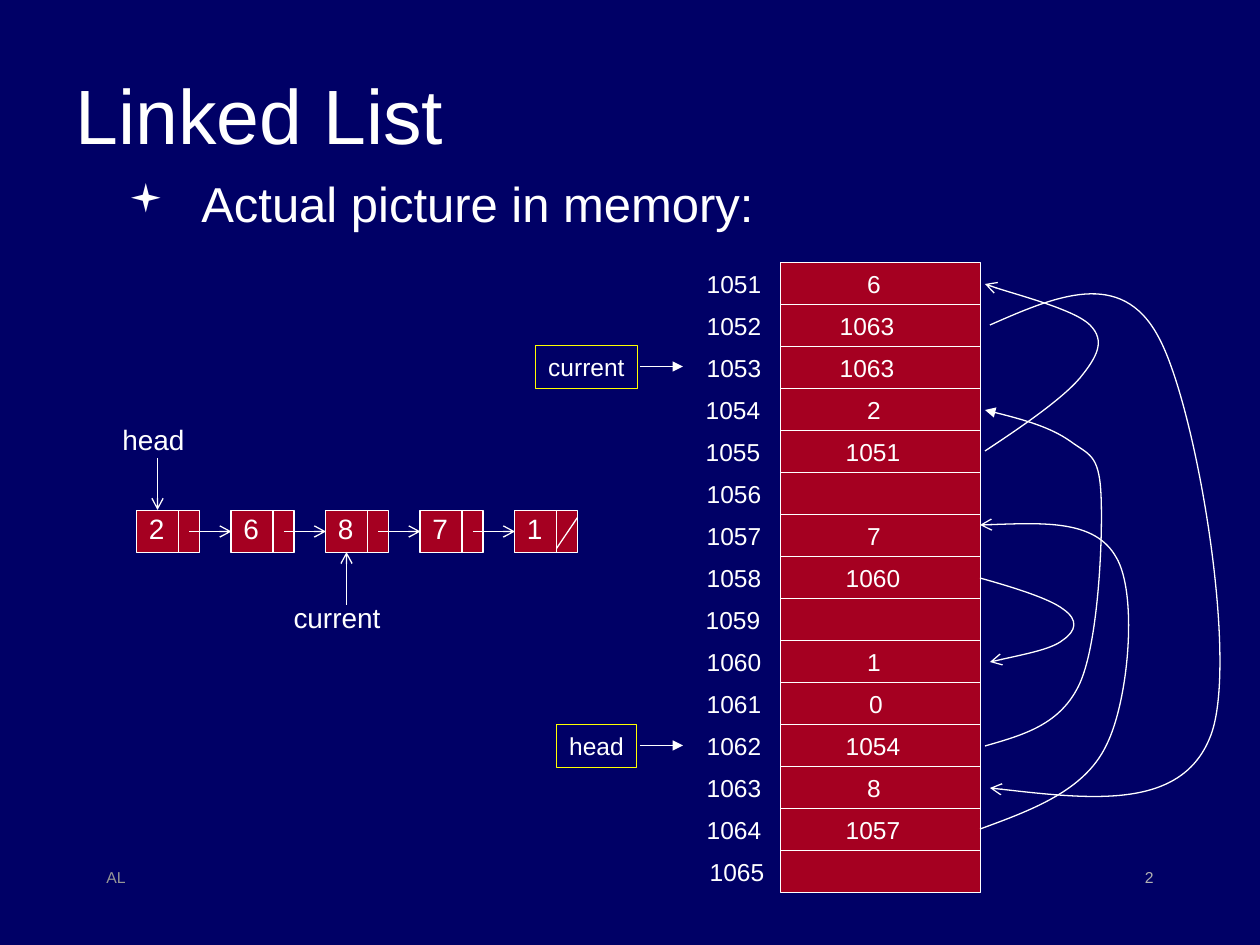
from lxml.etree import SubElement
from pptx import Presentation
from pptx.dml.color import RGBColor
from pptx.enum.shapes import MSO_CONNECTOR, MSO_SHAPE
from pptx.enum.text import MSO_ANCHOR as ANCHOR, MSO_AUTO_SIZE as AUTO_SIZE, PP_ALIGN as ALIGN
from pptx.oxml.ns import qn
from pptx.util import Pt

NAVY = RGBColor(0x00, 0x00, 0x66)
RED = RGBColor(0xA5, 0x00, 0x21)
WHITE = RGBColor(0xFF, 0xFF, 0xFF)
YELLOW = RGBColor(0xFF, 0xFF, 0x00)
PALE_GREY = RGBColor(0xB2, 0xB2, 0xB2)
GREY = RGBColor(0x96, 0x96, 0x96)
FONT = "Arial"
SCALE = 914400 / 126  # EMU in one px

# Memory cells: address and its centre, value and its centre
MEMORY = [
    ("1051", 734, "6", 874), ("1052", 734, "1063", 867), ("1053", 734, "1063", 867),
    ("1054", 733, "2", 874), ("1055", 733, "1051", 873), ("1056", 734, "", 0),
    ("1057", 734, "7", 874), ("1058", 734, "1060", 873), ("1059", 733, "", 0),
    ("1060", 734, "1", 874), ("1061", 734, "0", 876), ("1062", 734, "1054", 873),
    ("1063", 734, "8", 874), ("1064", 734, "1057", 873), ("1065", 737, "", 0),
]
MEMORY_LEFT, MEMORY_TOP, MEMORY_WIDTH, ROW = 780.5, 262.5, 200, 42

# Boxed variables: name, left, top, width
VARIABLES = [("current", 535.5, 345.5, 102), ("head", 556.5, 724.5, 80)]

# Curved links: arrowhead, start, then three Bezier points per segment
LINKS = [
    ("arrow", [(985, 451), (1023, 426), (1062, 399), (1080, 378), (1097, 357),
               (1106, 341), (1090, 325), (1075, 310), (1003, 291), (985, 284)]),
    ("arrow", [(990, 325), (1056, 296), (1121, 268), (1158, 336), (1196, 404),
               (1239, 660), (1211, 735), (1183, 810), (1086, 799), (990, 788)]),
    ("arrow", [(980, 829), (1032, 810), (1084, 791), (1106, 746), (1129, 701),
               (1138, 593), (1116, 557), (1095, 520), (1038, 523), (980, 525)]),
    ("arrow", [(980, 578), (1016, 588), (1050, 599), (1063, 609), (1079, 620),
               (1076, 631), (1063, 640), (1052, 649), (1021, 655), (990, 662)]),
    ("triangle", [(985, 746), (1023, 735), (1061, 725), (1080, 683), (1099, 640),
                  (1103, 534), (1101, 494), (1099, 454), (1089, 455), (1070, 441),
                  (1050, 427), (1018, 418), (985, 410)]),
]

# Linked nodes
NODES = ["2", "6", "8", "7", "1"]
NODE_LEFT, NODE_TOP, NODE_WIDTH, NODE_HEIGHT, NODE_STEP = 136.5, 510.5, 63, 42, 94.5

# Node pointers: name, left, top, width, arrow x, arrow start, arrow end
POINTERS = [("head", 110, 416, 87, 157.5, 458, 510),
            ("current", 281, 594, 112, 346.5, 605, 552)]


def emu(*lengths):
    return [round(length * SCALE) for length in lengths]


def style_line(shape, color=WHITE, head=None):
    shape.line.color.rgb = color
    shape.line.width = Pt(0.75)
    if head:
        SubElement(shape.line._get_or_add_ln(), qn("a:tailEnd"), type=head)


def add_line(x1, y1, x2, y2, head=None):
    line = page.shapes.add_connector(MSO_CONNECTOR.STRAIGHT, *emu(x1, y1, x2, y2))
    style_line(line, head=head)
    SubElement(line._element.spPr, qn("a:effectLst"))


def add_rect(left, top, width, height):
    rect = page.shapes.add_shape(MSO_SHAPE.RECTANGLE, *emu(left, top, width, height))
    rect.shadow.inherit = False
    rect.fill.solid()
    rect.fill.fore_color.rgb = RED
    style_line(rect)


def add_text(text, left, top, width, height, size=14, color=WHITE, align=ALIGN.LEFT,
             anchor=ANCHOR.TOP, wrap=True, border=None, bullet=None, indent=0, spacing=None):
    box = page.shapes.add_textbox(*emu(left, top, width, height))
    if border:
        style_line(box, border)
    frame = box.text_frame
    frame.word_wrap = wrap
    frame.auto_size = AUTO_SIZE.NONE if wrap else AUTO_SIZE.SHAPE_TO_FIT_TEXT
    frame.vertical_anchor = anchor
    para = frame.paragraphs[0]
    para.alignment = align
    if spacing:
        para.line_spacing = spacing
    if bullet:
        props = para._p.get_or_add_pPr()
        hanging = emu(indent)[0]
        props.set("marL", str(hanging))
        props.set("indent", str(-hanging))
        SubElement(props, qn("a:buSzPct"), val="80000")
        SubElement(props, qn("a:buFont"), typeface="Wingdings")
        SubElement(props, qn("a:buChar"), char=bullet)
    span = para.add_run()
    span.text = text
    span.font.name = FONT
    span.font.size = Pt(size)
    span.font.color.rgb = color


def add_curve(points, head):
    start, *rest = points
    builder = page.shapes.build_freeform(*start, scale=SCALE)
    builder.add_line_segments(rest, close=False)
    curve = builder.convert_to_shape()
    curve.shadow.inherit = False
    curve.fill.background()
    style_line(curve, head=head)
    # Gather every three straight steps into one Bezier segment
    outline = curve._element.find(".//" + qn("a:path"))
    steps = outline.findall(qn("a:lnTo"))
    for first in range(0, len(steps), 3):
        bezier = SubElement(outline, qn("a:cubicBezTo"))
        for step in steps[first:first + 3]:
            bezier.append(step[0])
            outline.remove(step)


deck = Presentation()
deck.slide_width, deck.slide_height = emu(1260, 945)
page = deck.slides.add_slide(deck.slide_layouts[6])
page.background.fill.solid()
page.background.fill.fore_color.rgb = NAVY

# Title and bullet
add_text("Linked List", 63, 51, 1134, 126, size=44, anchor=ANCHOR.MIDDLE)
add_text("Actual picture in memory:", 116, 179, 1134, 95, size=28,
         bullet="▪", indent=73, spacing=0.8)

# Memory column
add_rect(MEMORY_LEFT, MEMORY_TOP, MEMORY_WIDTH, ROW * len(MEMORY))
for index, (address, address_mid, value, value_mid) in enumerate(MEMORY):
    top = MEMORY_TOP + index * ROW
    if index:
        add_line(MEMORY_LEFT, top, MEMORY_LEFT + MEMORY_WIDTH, top)
    for text, middle in ((address, address_mid), (value, value_mid)):
        if text:
            width = 80 if len(text) > 1 else 39
            add_text(text, middle - width / 2, top, width, 43, align=ALIGN.CENTER, wrap=False)

# Variables pointing at memory
for name, left, top, width in VARIABLES:
    add_text(name, left, top, width, 43, align=ALIGN.CENTER, wrap=False, border=YELLOW)
    add_line(640, top + 21, 683, top + 21, head="triangle")

# Links between cells
for head, points in LINKS:
    add_curve(points, head)

# Chain of nodes
for index, value in enumerate(NODES):
    left = NODE_LEFT + index * NODE_STEP
    add_rect(left, NODE_TOP, NODE_WIDTH, NODE_HEIGHT)
    add_line(left + 42, NODE_TOP, left + 42, NODE_TOP + NODE_HEIGHT)
    add_text(value, left, NODE_TOP - 5, 34, 47, size=16)
    if index < len(NODES) - 1:
        add_line(left + 53, NODE_TOP + 21, left + 95, NODE_TOP + 21, head="arrow")
    else:
        add_line(left + NODE_WIDTH, NODE_TOP + 7, left + 42, NODE_TOP + 38)

# Pointers into the chain
for name, left, top, width, x, start, end in POINTERS:
    add_text(name, left, top, width, 47, size=16, align=ALIGN.CENTER, wrap=False)
    add_line(x, start, x, end, head="arrow")

# Footer
add_text("2", 904, 862, 262, 63, size=9, color=PALE_GREY, align=ALIGN.RIGHT)
add_text("AL", 94, 862, 262, 63, size=9, color=GREY)

deck.save("out.pptx")
